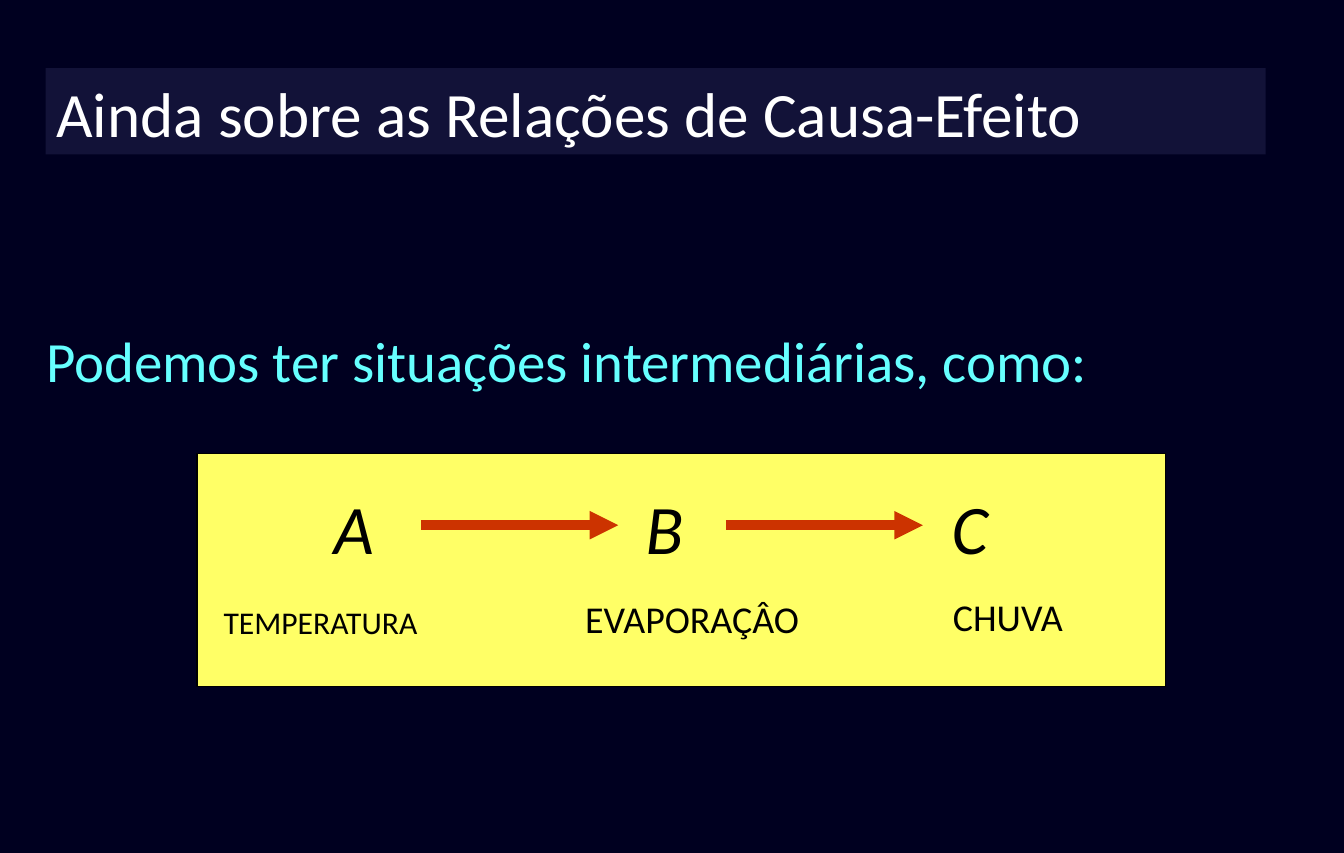
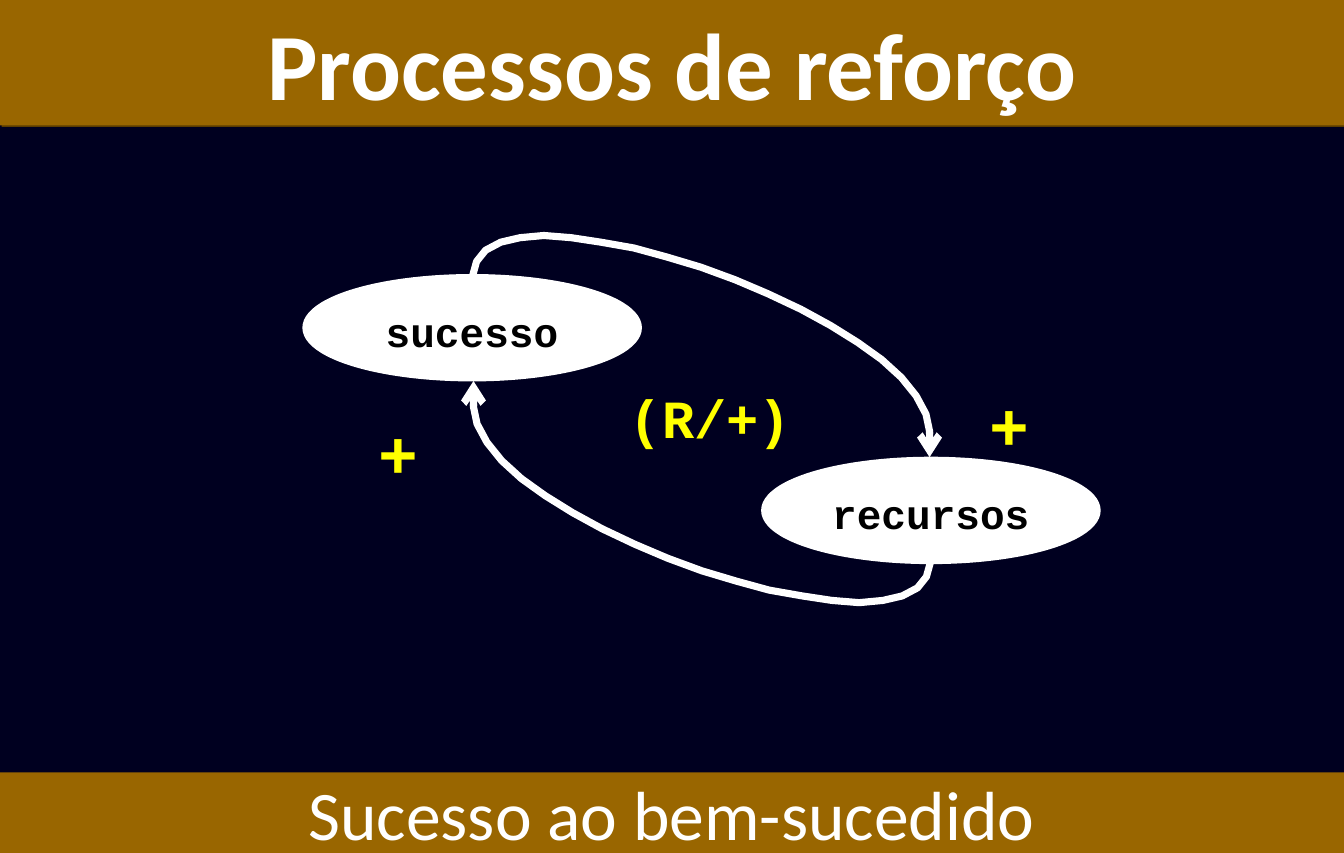
from lxml.etree import SubElement
from pptx import Presentation
from pptx.dml.color import RGBColor
from pptx.enum.shapes import MSO_CONNECTOR as Connector, MSO_SHAPE as Preset
from pptx.enum.text import MSO_ANCHOR as Anchor, MSO_AUTO_SIZE as AutoSize, PP_ALIGN as Align
from pptx.oxml.ns import qn
from pptx.util import Cm, Pt

NIGHT, NAVY, GOLD = "000020", "121238", "996600"
WHITE, BLACK, YELLOW = "FFFFFF", "000000", "FFFF00"
WIDTH, HEIGHT = 30, 19.05

FRAME = dict(margin_left=Cm(0.24), margin_right=Cm(0.24), margin_top=Cm(0.13),
             margin_bottom=Cm(0.13), word_wrap=False, auto_size=AutoSize.NONE,
             vertical_anchor=Anchor.TOP)
TITLE = dict(name="Calibri", size=Pt(40), bold=False)
BAND_TITLE = dict(name="Calibri", size=Pt(60), bold=True)
BAND_TEXT = dict(name="Calibri", size=Pt(44))
LEAD = dict(name="Calibri", size=Pt(36))
LETTER = dict(name="Calibri", size=Pt(44), italic=True)
NODE = dict(name="Courier New", size=Pt(26), bold=True)
LOOP_KIND = dict(name="Courier New", size=Pt(34), bold=True)
SIGN = dict(name="Courier New", size=Pt(42), bold=True)

ARC = [(0, 0), (0.1, -0.36), (0.3, -0.61), (0.64, -0.79), (1.07, -0.89),
       (1.6, -0.94), (2.21, -0.89), (2.87, -0.79), (3.61, -0.66), (4.34, -0.46),
       (5.11, -0.23), (5.87, 0.05), (6.6, 0.36), (7.34, 0.71), (8, 1.07),
       (8.61, 1.45), (9.14, 1.83), (9.58, 2.23), (9.91, 2.64), (10.13, 3.05),
       (10.21, 3.43), (10.21, 4.01)]


def paint(color_format, color):
    color_format.rgb = RGBColor.from_string(color)


def apply(target, values):
    for attribute, value in values.items():
        setattr(target, attribute, value)


def fill_with(shape, color):
    shape.fill.solid()
    paint(shape.fill.fore_color, color)


def stroke(line, color, width):
    line.fill.solid()
    paint(line.color, color)
    line.width = Pt(width)


def write(shape, text, style, color, align=Align.LEFT, **frame):
    apply(shape.text_frame, FRAME | frame)
    paragraph = shape.text_frame.paragraphs[0]
    paragraph.alignment = align
    run = paragraph.add_run()
    run.text = text
    apply(run.font, style)
    paint(run.font.color, color)


def add_text(slide, box, text, style, color):
    write(slide.shapes.add_textbox(*map(Cm, box)), text, style, color)


def add_block(slide, preset, box, color):
    block = slide.shapes.add_shape(preset, *map(Cm, box))
    block.shadow.inherit = False
    fill_with(block, color)
    block.line.fill.background()
    return block


def add_arrowhead(shape, kind):
    outline = shape.element.spPr.find(qn("a:ln"))
    SubElement(outline, qn("a:tailEnd"), type=kind)


def add_title(slide, box, text, style, color, align=Align.LEFT):
    title = slide.shapes.title
    apply(title, dict(zip(("left", "top", "width", "height"), map(Cm, box))))
    fill_with(title, color)
    write(title, text, style, WHITE, align)
    return title


def add_band_shadow(band):
    effects = SubElement(band.element.spPr, qn("a:effectLst"))
    shadow = SubElement(effects, qn("a:outerShdw"), dist=str(Pt(1.4)),
                        dir="2700000", algn="ctr", rotWithShape="0")
    SubElement(shadow, qn("a:srgbClr"), val="5B3C00")


def add_chain(slide, left, top, width, height):
    panel = add_block(slide, Preset.RECTANGLE, (left, top, width, height), "FFFF66")
    stroke(panel.line, BLACK, 0.75)
    steps = [("A", 2.81, "TEMPERATURA", 20, 0.35, 3.2),
             ("B", 9.77, "EVAPORAÇÂO", 24, 8.42, 3.05),
             ("C", 16.6, "CHUVA", 24, 16.63, 3)]
    for letter, letter_x, label, size, label_x, label_y in steps:
        add_text(slide, (left + letter_x, top + 0.58, 1.5, 2.1), letter, LETTER, BLACK)
        add_text(slide, (left + label_x, top + label_y, 5, 1.2), label,
                 dict(name="Calibri", size=Pt(size)), BLACK)
    for start in (5, 11.8):
        ends = left + start, top + 1.6, left + start + 4.4, top + 1.6
        arrow = slide.shapes.add_connector(Connector.STRAIGHT, *map(Cm, ends))
        stroke(arrow.line, "CC3300", 6)
        add_arrowhead(arrow, "triangle")
        SubElement(arrow.element.spPr, qn("a:effectLst"))


def add_arc(slide, start_x, start_y, direction):
    points = [(Cm(start_x + direction * x), Cm(start_y + direction * y)) for x, y in ARC]
    builder = slide.shapes.build_freeform(*points[0])
    builder.add_line_segments(points[1:], close=False)
    arc = builder.convert_to_shape()
    arc.shadow.inherit = False
    arc.fill.background()
    stroke(arc.line, WHITE, 4.5)
    add_arrowhead(arc, "arrow")


def add_loop(slide, left, top, width, height):
    node_width, node_height, inset_y = 7.42, 2.24, 0.94
    right, bottom = left + width, top + height
    nodes = [("sucesso", left, top + inset_y),
             ("recursos", right - node_width, bottom - inset_y - node_height)]
    for name, x, y in nodes:
        node = add_block(slide, Preset.OVAL, (x, y, node_width, node_height), WHITE)
        stroke(node.line, WHITE, 4.5)
        write(node, name, NODE, BLACK, Align.CENTER,
              vertical_anchor=Anchor.MIDDLE, margin_bottom=0)
    add_arc(slide, left + node_width / 2, top + inset_y, 1)
    add_arc(slide, right - node_width / 2, bottom - inset_y, -1)
    signs = [("(R/+)", LOOP_KIND, 6.99, 3.2, 4.09, 1.68),
             ("+", SIGN, 15.01, 3.2, 1.4, 2.03),
             ("+", SIGN, 1.37, 3.81, 1.4, 2.03)]
    for text, style, x, y, sign_width, sign_height in signs:
        add_text(slide, (left + x, top + y, sign_width, sign_height), text, style, YELLOW)


def build_cause_effect(slide):
    add_title(slide, (1.02, 1.52, 27.23, 1.93),
              "Ainda sobre as Relações de Causa-Efeito", TITLE, NAVY)
    add_text(slide, (0.79, 7.14, 27.86, 1.75),
             "Podemos ter situações intermediárias, como:", LEAD, "66FFFF")
    add_chain(slide, 4.4, 10.13, 21.61, 5.2)


def build_reinforcement(slide):
    title = add_title(slide, (0, 0, WIDTH, 2.8), "Processos de reforço",
                      BAND_TITLE, GOLD, Align.CENTER)
    add_band_shadow(title)
    add_loop(slide, 6.83, 5.26, 17.66, 8.2)
    footer = add_block(slide, Preset.RECTANGLE, (0, HEIGHT - 1.8, WIDTH, 1.8), GOLD)
    write(footer, "Sucesso ao bem-sucedido", BAND_TEXT, WHITE, Align.CENTER,
          vertical_anchor=Anchor.MIDDLE, word_wrap=True)


def main():
    deck = Presentation()
    apply(deck, dict(slide_width=Cm(WIDTH), slide_height=Cm(HEIGHT)))
    fill_with(deck.slide_master.background, NIGHT)
    for build in (build_cause_effect, build_reinforcement):
        build(deck.slides.add_slide(deck.slide_layouts[5]))
    deck.save("out.pptx")


if __name__ == "__main__":
    main()
